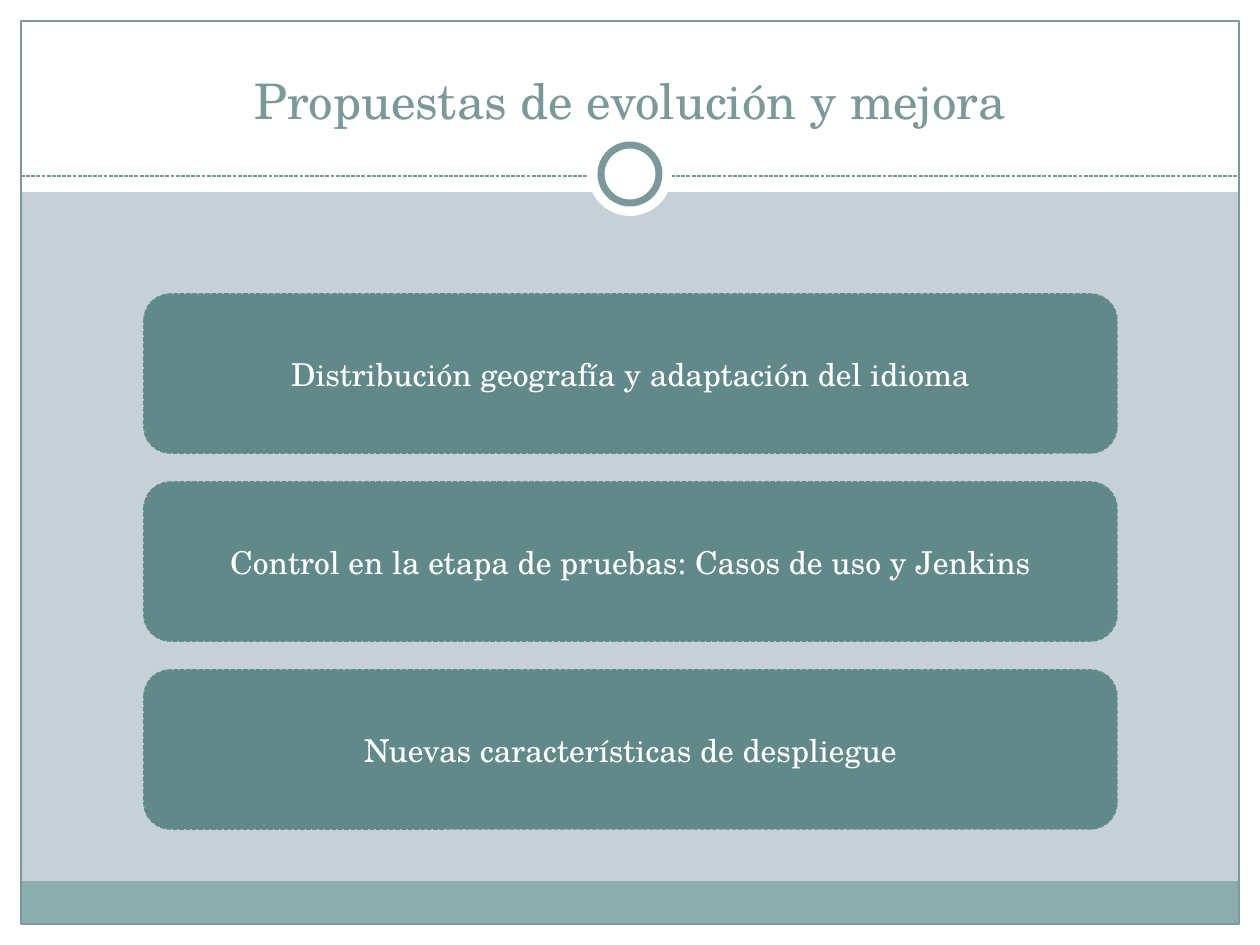
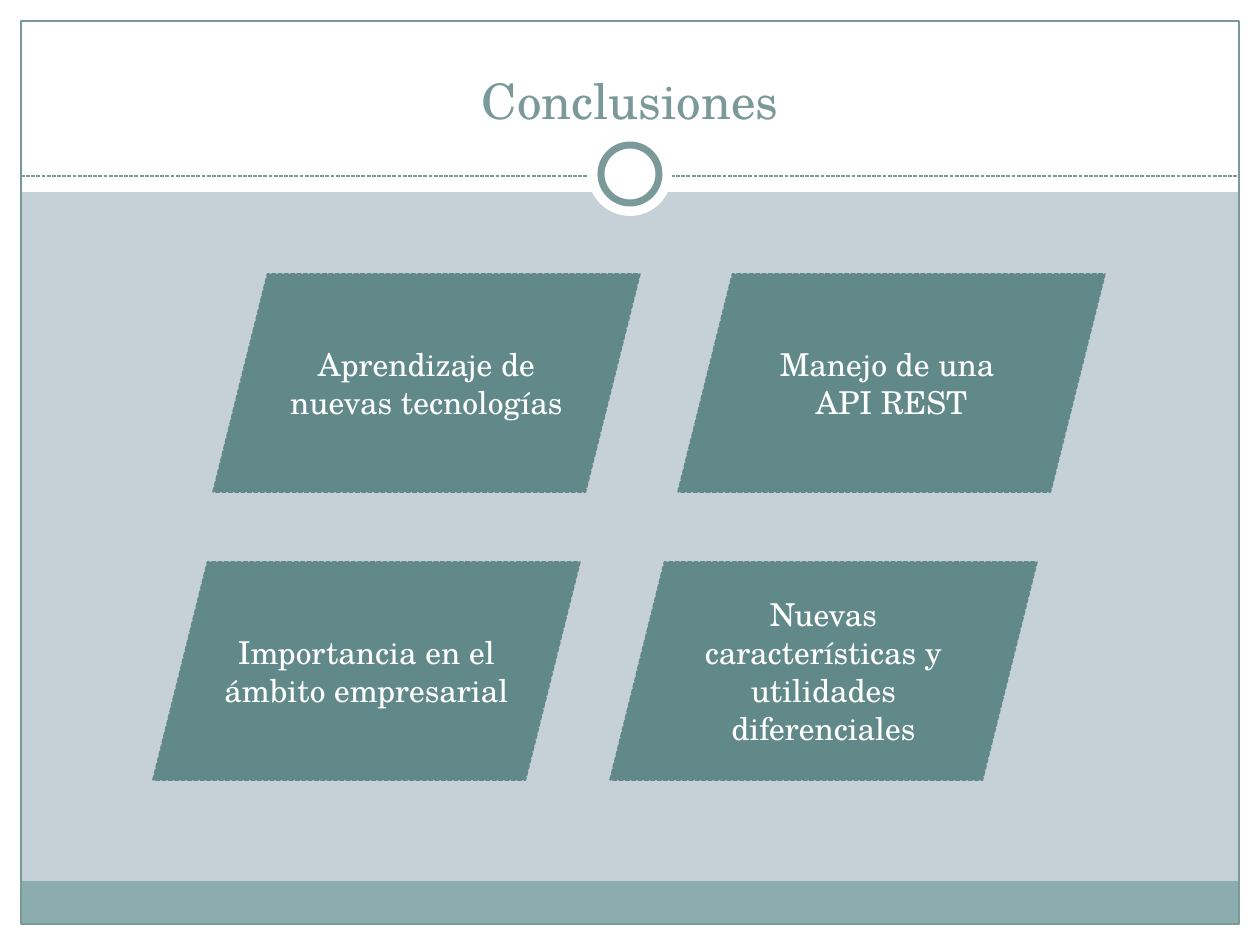
from lxml import etree
from pptx import Presentation
from pptx.dml.color import RGBColor
from pptx.enum.dml import MSO_LINE
from pptx.enum.shapes import MSO_CONNECTOR, MSO_SHAPE
from pptx.enum.text import MSO_ANCHOR, PP_ALIGN
from pptx.oxml.ns import qn
from pptx.util import Pt

RECT, OVAL = MSO_SHAPE.RECTANGLE, MSO_SHAPE.OVAL
CARD, SLANT = MSO_SHAPE.FLOWCHART_ALTERNATE_PROCESS, MSO_SHAPE.PARALLELOGRAM
DASH = MSO_LINE.SQUARE_DOT
STRAIGHT = MSO_CONNECTOR.STRAIGHT
MIDDLE, BOTTOM = MSO_ANCHOR.MIDDLE, MSO_ANCHOR.BOTTOM
CENTER = PP_ALIGN.CENTER

WIDE, HIGH = 1260, 945
EDGE = 21
FONT = "TeX Gyre Schola"
WHITE, BACK, BAND = "FFFFFF", "C5D1D7", "8CADAE"
GREY, TEAL = "7C999A", "61898A"


def emu(px):
    return round(px * 914400 / 126)


def color(code):
    return RGBColor.from_string(code)


class Deck:
    def __init__(self):
        self.file = Presentation()
        self.file.slide_width = emu(WIDE)
        self.file.slide_height = emu(HIGH)

    def slide(self, title):
        self.page = self.file.slides.add_slide(self.file.slide_layouts[6])
        fill = self.page.background.fill
        fill.solid()
        fill.fore_color.rgb = color(BACK)
        self.frame()
        self.title(title)

    def stroke(self, line, code, size, dash=None):
        line.color.rgb = color(code)
        line.width = Pt(size)
        if dash:
            line.dash_style = dash

    def shape(self, kind, box, fill=None, line=None):
        item = self.page.shapes.add_shape(kind, *map(emu, box))
        item.shadow.inherit = False
        if fill:
            item.fill.solid()
            item.fill.fore_color.rgb = color(fill)
        else:
            item.fill.background()
        if line:
            self.stroke(item.line, *line)
        else:
            item.line.fill.background()
        return item

    def rule(self, x1, y1, x2, y2):
        item = self.page.shapes.add_connector(STRAIGHT, *map(emu, (x1, y1, x2, y2)))
        self.stroke(item.line, GREY, 0.75, DASH)
        etree.SubElement(item._element.spPr, qn("a:effectLst"))

    def label(self, item, text, size, code, anchor, wrap=True):
        body = item.text_frame
        body.word_wrap = wrap
        body.vertical_anchor = anchor
        body.text = text
        for para in body.paragraphs:
            para.alignment = CENTER
            para.font.name = FONT
            para.font.size = Pt(size)
            para.font.color.rgb = color(code)

    def frame(self):
        # White margins and header, then the footer band
        side = WIDE - EDGE
        for box in [(0, HIGH - EDGE, WIDE, EDGE), (0, 0, WIDE, 192),
                    (0, 0, EDGE, HIGH), (side, 0, EDGE, HIGH)]:
            self.shape(RECT, box, WHITE)
        self.shape(RECT, (EDGE, 881, side - EDGE, 43), BAND)
        # Border, dashed rule and ring
        self.shape(RECT, (EDGE, EDGE, side - EDGE, HIGH - 2 * EDGE), line=(GREY, 0.75))
        self.rule(EDGE, 176, side, 176)
        self.shape(OVAL, (588, 132, 84, 84), WHITE)
        self.shape(OVAL, (601, 145, 58, 58), WHITE, (GREY, 4))

    def title(self, text):
        item = self.page.shapes.add_textbox(*map(emu, (42, 31, 1176, 105)))
        self.label(item, text, 28, GREY, BOTTOM)

    def card(self, kind, box, text, wrap=True):
        item = self.shape(kind, box, TEAL, (TEAL, 0.9, DASH))
        self.label(item, text, 18, WHITE, MIDDLE, wrap)


def main():
    deck = Deck()

    # Proposals: three stacked cards
    deck.slide("Propuestas de evolución y mejora")
    ideas = ["Distribución geografía y adaptación del idioma",
             "Control en la etapa de pruebas: Casos de uso y Jenkins",
             "Nuevas características de despliegue"]
    for i, idea in enumerate(ideas):
        deck.card(CARD, (144, 294 + 188 * i, 973, 159), idea)

    # Conclusions: two staggered rows; \v breaks a line, \n a paragraph
    deck.slide("Conclusiones")
    rows = [(274, [(213, "Aprendizaje de\vnuevas tecnologías"),
                   (678, "Manejo de una \nAPI REST")]),
            (562, [(153, "Importancia en el\vámbito empresarial"),
                   (610, "Nuevas\vcaracterísticas y\vutilidades\vdiferenciales")])]
    for top, cells in rows:
        for left, text in cells:
            deck.card(SLANT, (left, top, 427, 218), text, wrap=False)

    deck.file.save("out.pptx")


if __name__ == "__main__":
    main()
